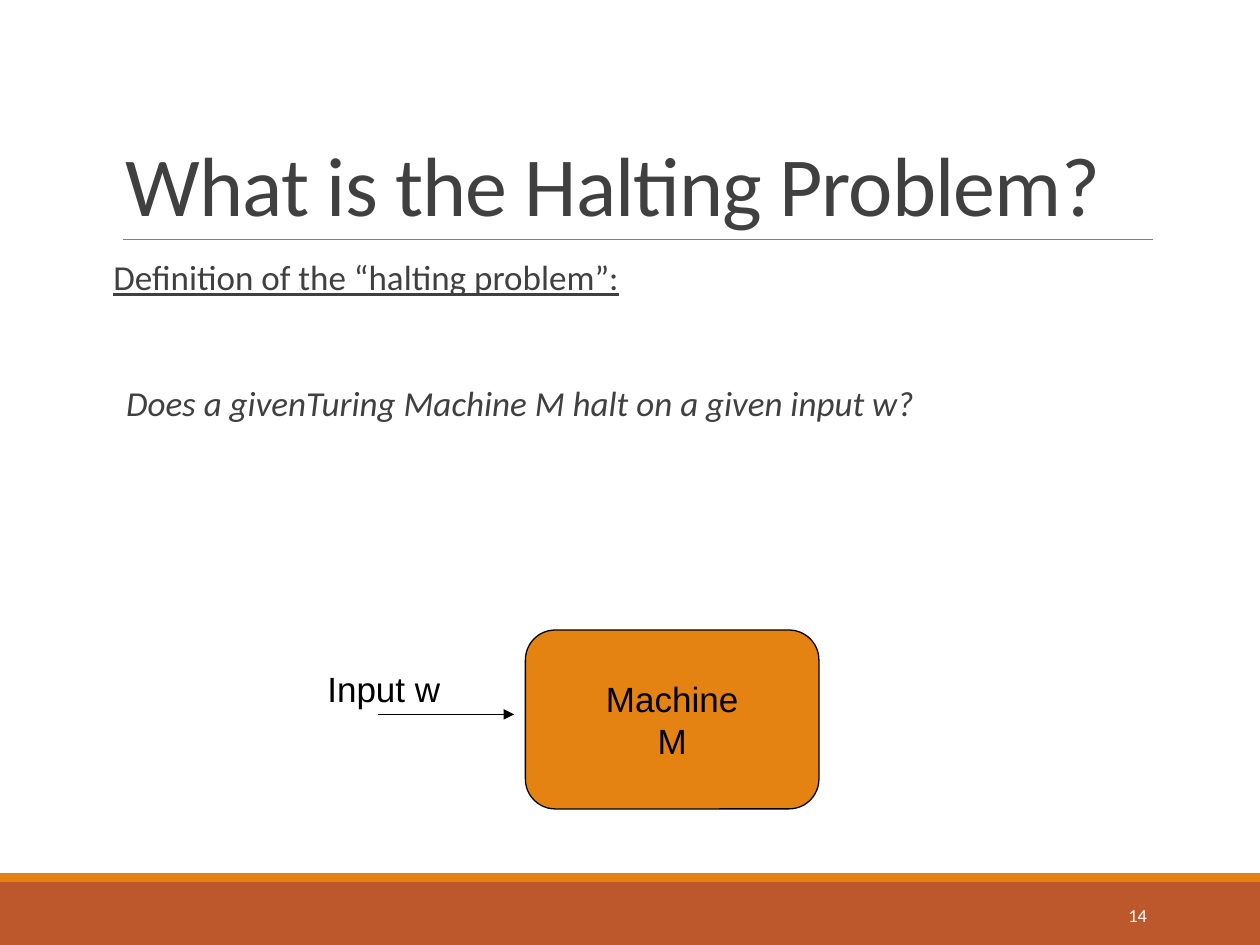
from lxml.etree import SubElement
from pptx import Presentation
from pptx.dml.color import RGBColor
from pptx.enum.shapes import MSO_CONNECTOR, MSO_SHAPE
from pptx.enum.text import MSO_ANCHOR, PP_ALIGN
from pptx.oxml.ns import qn
from pptx.util import Inches, Pt

COLORS = {
    "rust": "BD582C",
    "orange": "E48312",
    "rule": "808080",
    "text": "404040",
    "black": "000000",
    "white": "FFFFFF",
}


def rgb(name):
    return RGBColor.from_string(COLORS[name])


def style_paragraph(paragraph, size, color, font="Calibri", align=PP_ALIGN.LEFT):
    paragraph.alignment = align
    paragraph.font.size = Pt(size)
    paragraph.font.name = font
    paragraph.font.color.rgb = rgb(color)


def add_text(slide, box, lines, size, color, font="Calibri",
             align=PP_ALIGN.LEFT, anchor=MSO_ANCHOR.TOP, wrap=True):
    frame = slide.shapes.add_textbox(*map(Inches, box)).text_frame
    frame.word_wrap = wrap
    frame.vertical_anchor = anchor
    frame.text = "\n".join(lines)
    for paragraph in frame.paragraphs:
        style_paragraph(paragraph, size, color, font, align)
    return frame


def add_block(slide, kind, box, fill):
    block = slide.shapes.add_shape(kind, *map(Inches, box))
    block.shadow.inherit = False
    block.fill.solid()
    block.fill.fore_color.rgb = rgb(fill)
    block.line.fill.background()
    return block


def add_line(slide, start, end, color, width, arrow=False):
    line = slide.shapes.add_connector(
        MSO_CONNECTOR.STRAIGHT, *map(Inches, (*start, *end)))
    line.line.color.rgb = rgb(color)
    line.line.width = Pt(width)
    if arrow:
        SubElement(line.line._get_or_add_ln(), qn("a:tailEnd"), type="triangle")
    SubElement(line._element.spPr, qn("a:effectLst"))


def add_title(slide):
    frame = add_text(slide, (0.9, 0.31, 8.25, 1.59), ["What is the Halting Problem?"],
                     48, "text", anchor=MSO_ANCHOR.BOTTOM)
    title = frame.paragraphs[0]
    title.line_spacing = 0.85
    title.runs[0].font._element.set("spc", "-50")


def add_definition(slide):
    frame = add_text(slide, (0.9, 2.02, 8.25, 4.4),
                     ["Definition of the “halting problem”:",
                      "Does a givenTuring Machine M halt on a given input w?"],
                     20, "text")
    frame.margin_left = frame.margin_right = 0
    heading, question = frame.paragraphs
    for paragraph, space_before in ((heading, 12), (question, 48)):
        paragraph.line_spacing = 0.9
        paragraph.space_before = Pt(space_before)
        paragraph.space_after = Pt(2)
    heading.font.underline = True
    question.font.italic = True
    question._p.get_or_add_pPr().set("marL", str(Inches(0.1)))


def add_machine(slide):
    machine = add_block(slide, MSO_SHAPE.ROUNDED_RECTANGLE, (4.17, 5, 2.33, 1.42), "orange")
    machine.adjustments[0] = 0.167
    machine.line.color.rgb = rgb("black")
    machine.line.width = Pt(0.75)
    frame = machine.text_frame
    frame.word_wrap = False
    frame.vertical_anchor = MSO_ANCHOR.MIDDLE
    frame.text = "Machine\nM"
    for paragraph in frame.paragraphs:
        style_paragraph(paragraph, 20, "black", "Arial", PP_ALIGN.CENTER)


def main():
    deck = Presentation()
    deck.slide_width, deck.slide_height = Inches(10), Inches(7.5)
    slide = deck.slides.add_slide(deck.slide_layouts[6])

    add_block(slide, MSO_SHAPE.RECTANGLE, (0, 7, 10, 0.5), "rust")
    add_block(slide, MSO_SHAPE.RECTANGLE, (0, 6.93, 10, 0.07), "orange")
    add_line(slide, (0.98, 1.9), (9.15, 1.9), "rule", 0.5)
    add_title(slide)
    add_definition(slide)
    add_text(slide, (8.12, 7.06, 1.08, 0.4), ["14"], 10.5, "white",
             align=PP_ALIGN.RIGHT, anchor=MSO_ANCHOR.MIDDLE)
    add_machine(slide)
    add_line(slide, (3, 5.67), (4.08, 5.67), "black", 0.75, arrow=True)
    add_text(slide, (2.5, 5.25, 1.1, 0.43), ["Input w"], 20, "black", "Arial", wrap=False)

    deck.save("out.pptx")


if __name__ == "__main__":
    main()
